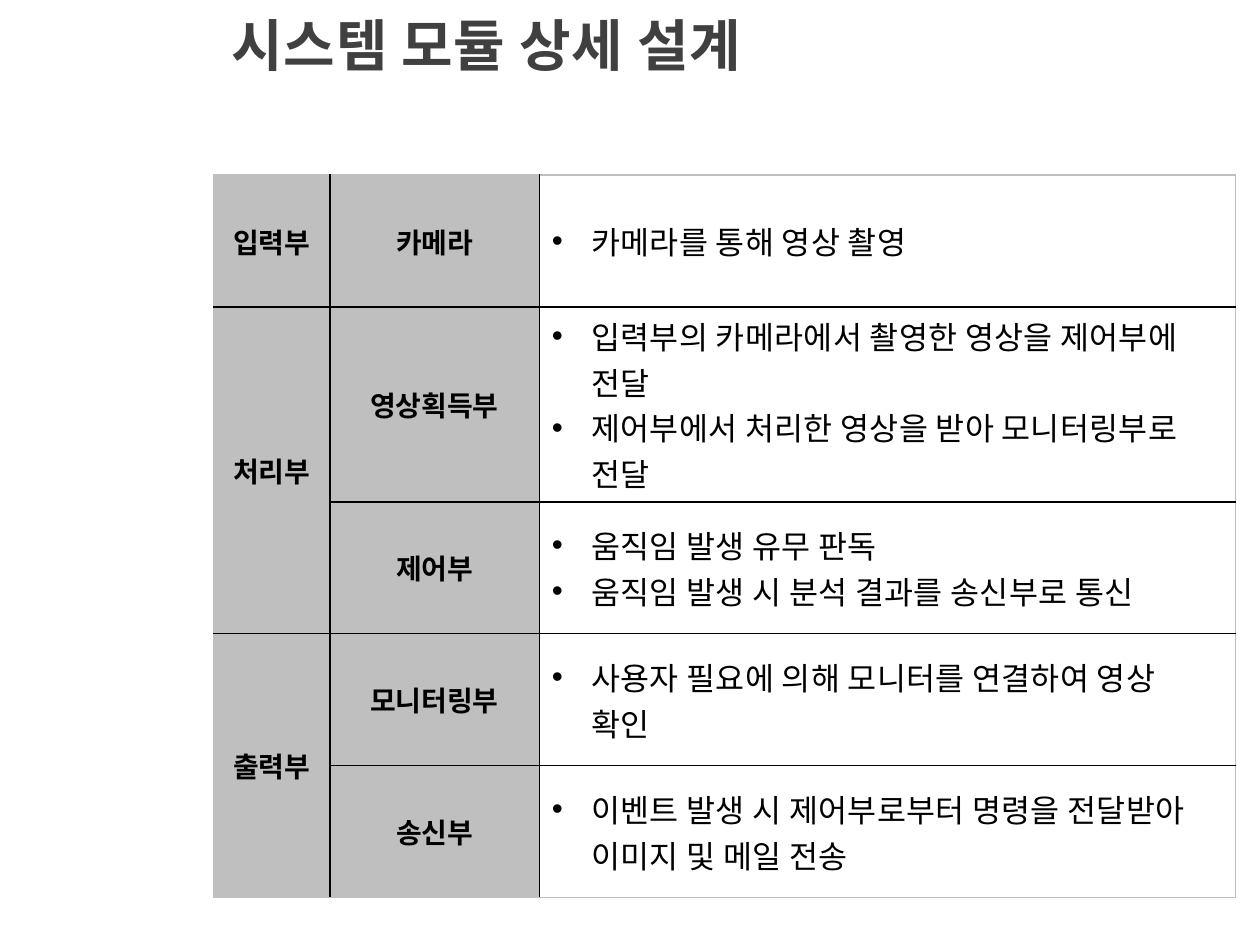
from lxml import etree
from pptx import Presentation
from pptx.dml.color import RGBColor
from pptx.enum.text import MSO_ANCHOR, PP_ALIGN
from pptx.oxml.ns import qn
from pptx.util import Pt

MIDDLE = MSO_ANCHOR.MIDDLE
CENTER = PP_ALIGN.CENTER
COLORS = {"title": "404040", "text": "000000", "label": "BFBFBF",
          "line": "000000", "frame": "BFBFBF"}
KOREAN = "Noto Sans CJK KR"
TITLE = {"size": Pt(32), "bold": True, "name": "Arial"}
LABEL = {"size": Pt(16), "bold": True, "name": KOREAN}
BODY = {"size": Pt(18), "bold": False, "name": KOREAN}
# Letter spacing in hundredths of a point
TITLE_SPACING, BODY_SPACING = 40, 20

COL_WIDTHS = (66.5, 119.7, 398)
ROW_HEIGHTS = (75.4, 111.4, 75.4, 75.4, 75.4)
INDENT = 22.5

# Section -> modules with their tasks
SECTIONS = {
    "입력부": {"카메라": ["카메라를 통해 영상 촬영"]},
    "처리부": {
        "영상획득부": ["입력부의 카메라에서 촬영한 영상을 제어부에 전달",
                  "제어부에서 처리한 영상을 받아 모니터링부로 전달"],
        "제어부": ["움직임 발생 유무 판독",
                "움직임 발생 시 분석 결과를 송신부로 통신"],
    },
    "출력부": {
        "모니터링부": ["사용자 필요에 의해 모니터를 연결하여 영상 확인"],
        "송신부": ["이벤트 발생 시 제어부로부터 명령을 전달받아 이미지 및 메일 전송"],
    },
}


def rgb(key):
    return RGBColor.from_string(COLORS[key])


def add_run(p, text, style, color="text", spacing=0):
    r = p.add_run()
    r.text = text
    for name, value in style.items():
        setattr(r.font, name, value)
    r.font.color.rgb = rgb(color)
    rPr = r.font._element
    rPr.set("spc", str(spacing))
    etree.SubElement(rPr, qn("a:ea")).set("typeface", KOREAN)


def add_bullet(p):
    pPr = p._p.get_or_add_pPr()
    pPr.set("marL", str(Pt(INDENT)))
    pPr.set("indent", str(-Pt(INDENT)))
    etree.SubElement(pPr, qn("a:buFont")).set("typeface", "Arial")
    etree.SubElement(pPr, qn("a:buChar")).set("char", "•")


def set_borders(cell, edges):
    """edges maps L, R, T, B to a colour key, or None for no line."""
    tcPr = cell._tc.get_or_add_tcPr()
    for side, key in edges.items():
        ln = etree.SubElement(tcPr, qn(f"a:ln{side}"), w=str(Pt(1)))
        if key is None:
            etree.SubElement(ln, qn("a:noFill"))
        else:
            fill = etree.SubElement(ln, qn("a:solidFill"))
            etree.SubElement(fill, qn("a:srgbClr"), val=COLORS[key])


def fill_label(cell, text):
    p = cell.text_frame.paragraphs[0]
    p.alignment = CENTER
    add_run(p, text, LABEL)


def fill_tasks(cell, tasks):
    cell.margin_right = Pt(10)
    tf = cell.text_frame
    for i, task in enumerate(tasks):
        p = tf.add_paragraph() if i else tf.paragraphs[0]
        add_bullet(p)
        add_run(p, task, BODY, spacing=BODY_SPACING)


def format_cells(table):
    last_row, last_col = len(table.rows) - 1, len(table.columns) - 1
    for row in range(last_row + 1):
        for col in range(last_col + 1):
            cell = table.cell(row, col)
            bottom = row + (cell.span_height if cell.is_merge_origin else 1) - 1
            top = None if cell.is_spanned else "line"
            set_borders(cell, {
                "L": "line" if col else "frame",
                "R": "line" if col < last_col else "frame",
                "T": top if row else "frame",
                "B": "line" if bottom < last_row else "frame",
            })
            cell.vertical_anchor = MIDDLE
            if col < last_col:
                cell.fill.solid()
                cell.fill.fore_color.rgb = rgb("label")
            else:
                cell.fill.background()


def add_title(s, text):
    sp = s.shapes.add_textbox(Pt(125.3), Pt(1.6), Pt(592.5), Pt(46.8))
    tf = sp.text_frame
    tf.word_wrap = True
    tf.vertical_anchor = MIDDLE
    add_run(tf.paragraphs[0], text, TITLE, "title", TITLE_SPACING)


def add_module_table(s):
    table = s.shapes.add_table(len(ROW_HEIGHTS), len(COL_WIDTHS), Pt(122), Pt(100),
                               Pt(sum(COL_WIDTHS)), Pt(sum(ROW_HEIGHTS))).table
    table.first_row = table.horz_banding = False
    for column, width in zip(table.columns, COL_WIDTHS):
        column.width = Pt(width)
    for table_row, height in zip(table.rows, ROW_HEIGHTS):
        table_row.height = Pt(height)

    row = 0
    for section, modules in SECTIONS.items():
        if len(modules) > 1:
            table.cell(row, 0).merge(table.cell(row + len(modules) - 1, 0))
        fill_label(table.cell(row, 0), section)
        for module, tasks in modules.items():
            fill_label(table.cell(row, 1), module)
            fill_tasks(table.cell(row, 2), tasks)
            row += 1
    format_cells(table)


def main():
    prs = Presentation()
    prs.slide_width, prs.slide_height = Pt(720), Pt(540)
    s = prs.slides.add_slide(prs.slide_layouts[6])
    add_title(s, "시스템 모듈 상세 설계")
    add_module_table(s)
    prs.save("out.pptx")


if __name__ == "__main__":
    main()
